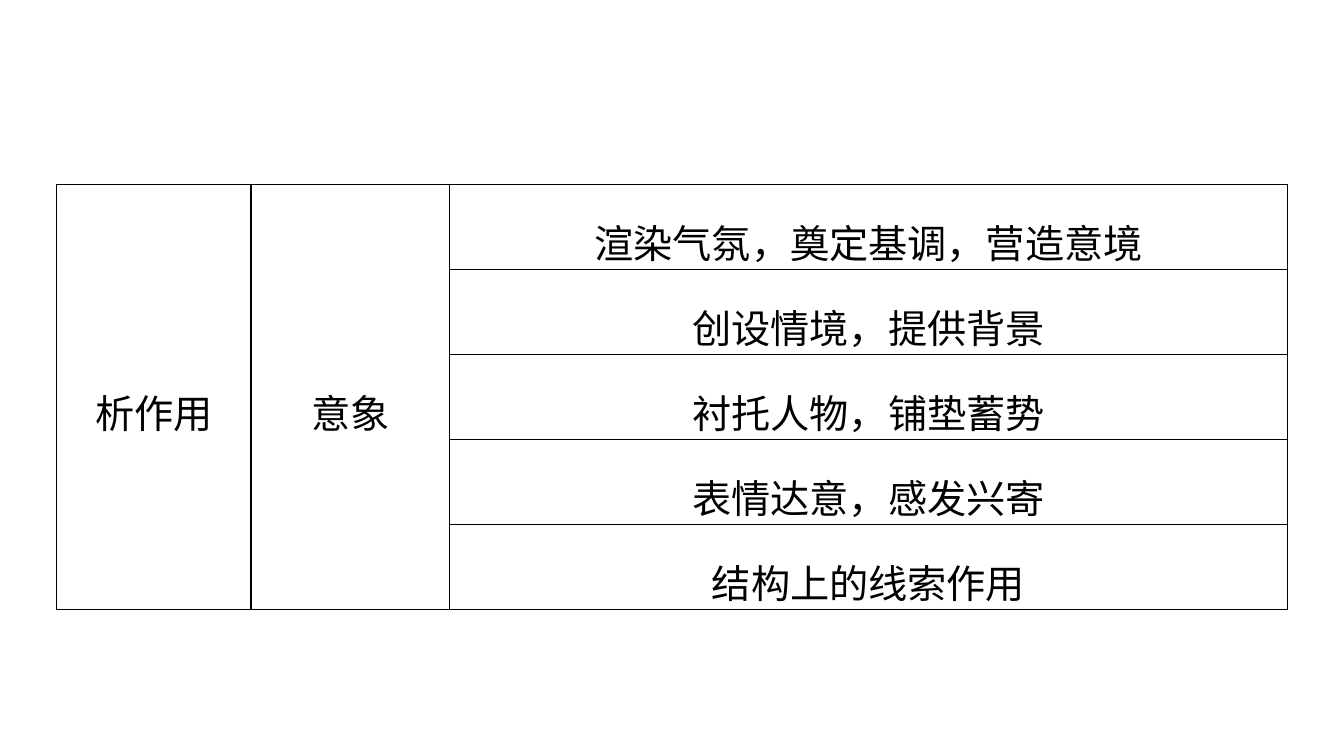
from dataclasses import dataclass

from lxml import etree
from pptx import Presentation
from pptx.dml.color import RGBColor
from pptx.enum.text import MSO_ANCHOR, PP_ALIGN
from pptx.oxml.ns import qn
from pptx.util import Inches, Pt

MIDDLE = MSO_ANCHOR.MIDDLE
CENTER = PP_ALIGN.CENTER

TOPIC = "析作用"
IMAGE = "意象"
ROLES = [
    "渲染气氛，奠定基调，营造意境",
    "创设情境，提供背景",
    "衬托人物，铺垫蓄势",
    "表情达意，感发兴寄",
    "结构上的线索作用",
]

WIDTH, HEIGHT = 13.33, 7.5
LEFT, TOP = 0.56, 1.83
COLS = [1.93, 1.97, 8.31]
ROW = 0.58


@dataclass(frozen=True)
class Theme:
    font: str = "Times New Roman"
    size: int = 28
    ink: str = "000000"
    rule: float = 1
    pad: float = 0.07
    lead: float = 1.5


THEME = Theme()


def add_rules(cell):
    """Draw a thin line on all four sides of the cell."""
    props = cell._tc.get_or_add_tcPr()
    for side in ("lnL", "lnR", "lnT", "lnB"):
        line = etree.SubElement(props, qn(f"a:{side}"), w=str(Pt(THEME.rule)))
        fill = etree.SubElement(line, qn("a:solidFill"))
        etree.SubElement(fill, qn("a:srgbClr"), val=THEME.ink)


def style_cell(cell):
    add_rules(cell)
    cell.fill.background()
    cell.vertical_anchor = MIDDLE
    cell.margin_left = cell.margin_right = Inches(THEME.pad)
    cell.margin_top = cell.margin_bottom = 0
    para = cell.text_frame.paragraphs[0]
    para.alignment = CENTER
    para.line_spacing = THEME.lead
    para.font.name = THEME.font
    para.font.size = Pt(THEME.size)
    para.font.color.rgb = RGBColor.from_string(THEME.ink)


def add_grid(slide):
    count = len(ROLES)
    frame = slide.shapes.add_table(
        count, len(COLS), Inches(LEFT), Inches(TOP),
        Inches(sum(COLS)), Inches(ROW * count))
    grid = frame.table
    grid.first_row = grid.horz_banding = False
    for col, width in zip(grid.columns, COLS):
        col.width = Inches(width)
    for row in grid.rows:
        row.height = Inches(ROW)
    for col, label in enumerate((TOPIC, IMAGE)):
        grid.cell(0, col).merge(grid.cell(count - 1, col))
        grid.cell(0, col).text = label
    for row, role in enumerate(ROLES):
        grid.cell(row, len(COLS) - 1).text = role
    for cell in grid.iter_cells():
        style_cell(cell)


def main():
    deck = Presentation()
    deck.slide_width, deck.slide_height = Inches(WIDTH), Inches(HEIGHT)
    add_grid(deck.slides.add_slide(deck.slide_layouts[6]))
    deck.save("out.pptx")


if __name__ == "__main__":
    main()
